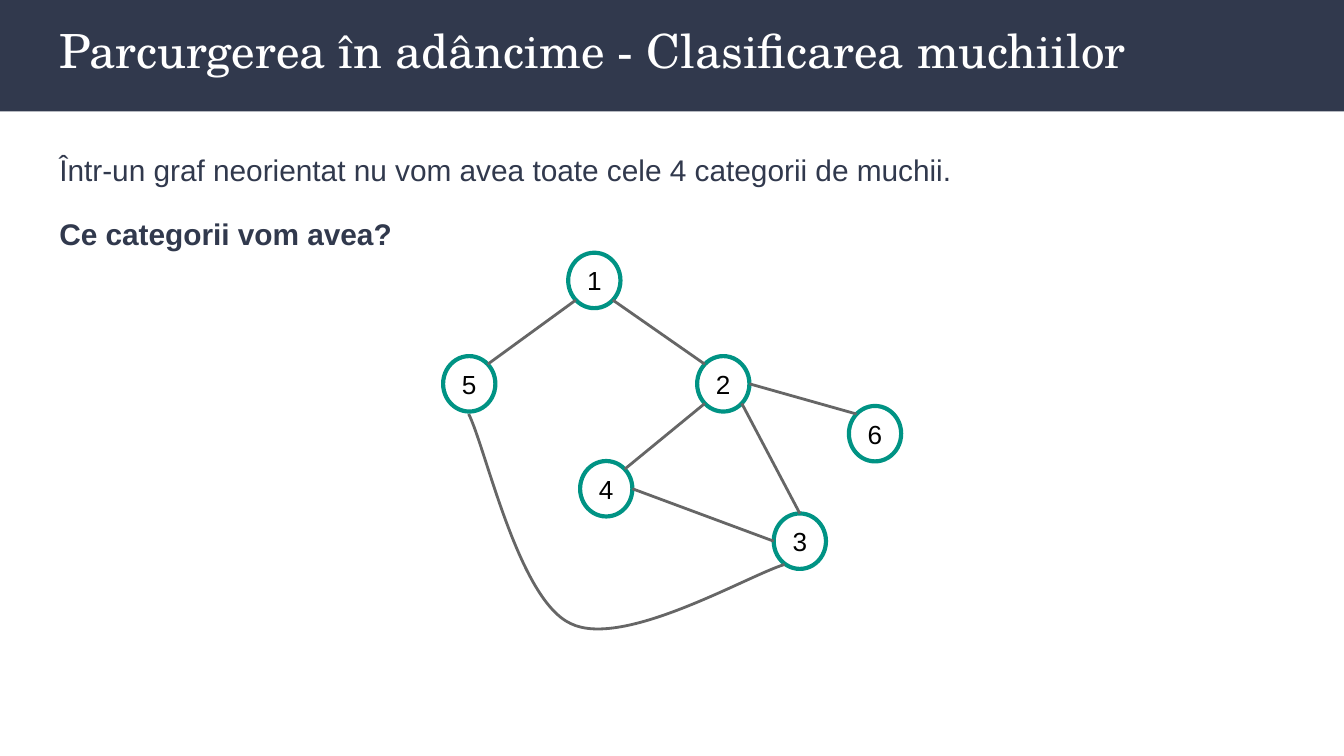
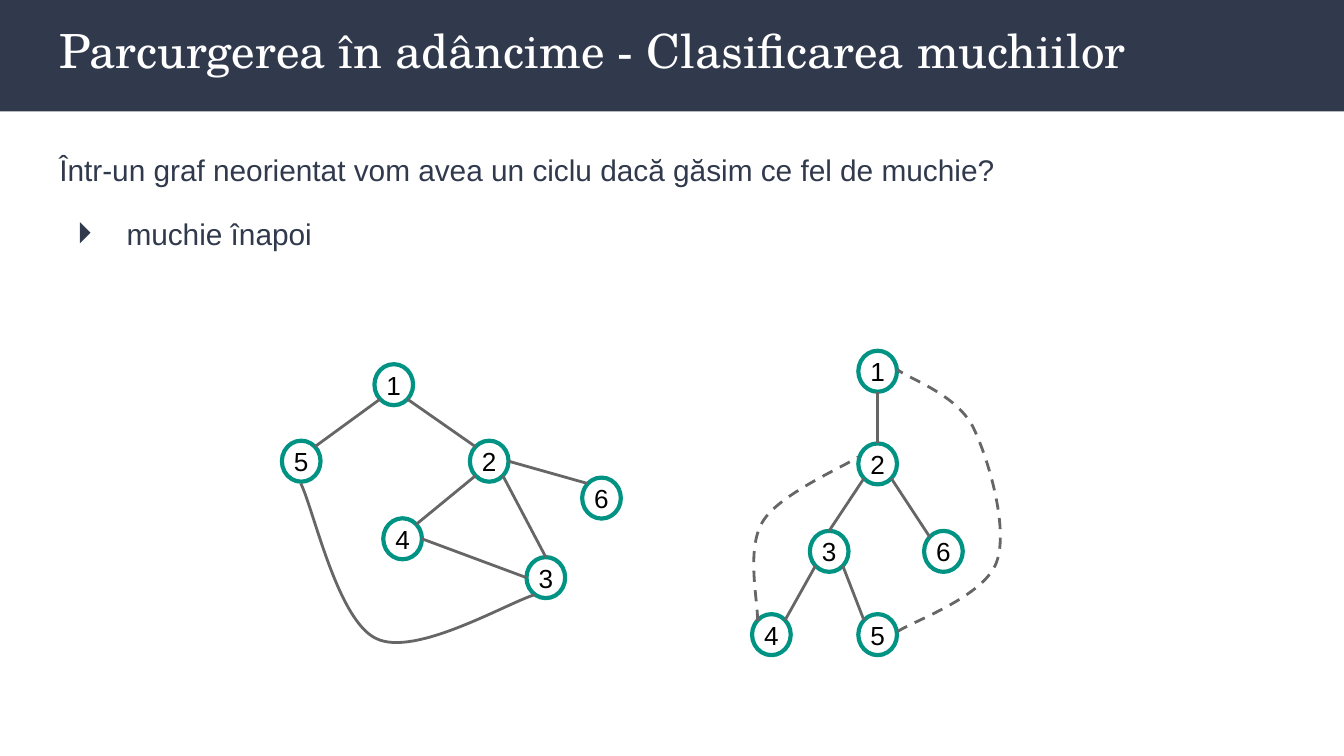
from dataclasses import dataclass

from lxml.etree import SubElement
from pptx import Presentation
from pptx.dml.color import RGBColor
from pptx.enum.dml import MSO_LINE
from pptx.enum.shapes import MSO_CONNECTOR, MSO_SHAPE
from pptx.enum.text import MSO_ANCHOR, PP_ALIGN
from pptx.oxml.ns import qn
from pptx.util import Pt

COLORS = {
    "navy": "31394D",
    "white": "FFFFFF",
    "teal": "009384",
    "gray": "666666",
    "black": "000000",
}
TITLE = "Parcurgerea în adâncime - Clasificarea muchiilor"
TITLE_FONT = "TeX Gyre Schola"
BODY_FONT = "Arial"
NODE_WIDTH, NODE_HEIGHT = 28, 29.7
SMALL = 0.74
NEAR, FAR = 0.146, 0.854
SITES = {
    "top": (0.5, 0),
    "bottom": (0.5, 1),
    "left": (0, 0.5),
    "right": (1, 0.5),
    "top left": (NEAR, NEAR),
    "top right": (FAR, NEAR),
    "bottom left": (NEAR, FAR),
    "bottom right": (FAR, FAR),
}


@dataclass
class Graph:
    """Nodes by label, straight edges between node sites, and Bézier edges."""

    nodes: dict
    edges: list
    curves: list
    dashed: bool = False


UNDIRECTED = Graph(
    nodes={
        1: (67, 0), 2: (136.1, 55.4), 3: (177.1, 139.7),
        4: (73.4, 111.6), 5: (0, 55.4), 6: (217.4, 82.1),
    },
    edges=[
        (1, "bottom right", 2, "top left"),
        (1, "bottom left", 5, "top right"),
        (2, "bottom left", 4, "top right"),
        (4, "right", 3, "left"),
        (2, "bottom right", 3, "top"),
        (2, "right", 6, "top left"),
    ],
    curves=[
        [(182.9, 167), (163.4, 172.8), (96.5, 212.4), (68.4, 198.7),
         (40.3, 185.8), (23, 105.1), (13.7, 86.4)],
    ],
)
SEARCH_TREE = Graph(
    nodes={
        1: (76.9, 0), 2: (76.9, 67.1), 3: (41.8, 130.4),
        4: (0, 190.7), 5: (76.9, 190.7), 6: (124.5, 130.4),
    },
    edges=[
        (1, "bottom", 2, "top"),
        (4, "top right", 3, "bottom left"),
        (2, "bottom left", 3, "top"),
        (2, "bottom right", 6, "top left"),
        (3, "bottom right", 5, "top left"),
    ],
    curves=[
        [(3.9, 195.6), (4.9, 183.9), (-4.9, 144), (7.8, 123.6),
         (19.5, 104.1), (65.2, 84.6), (76.9, 76.9)],
        [(105.1, 203.4), (116.8, 195.6), (168.3, 178), (177.1, 152.8),
         (185.8, 128.4), (171.2, 77.8), (159.6, 54.5),
         (146.9, 31.1), (113.8, 20.4), (105.1, 13.6)],
    ],
    dashed=True,
)


def color(name):
    """Return the named colour."""
    return RGBColor.from_string(COLORS[name])


def style_font(para, name, size, tint, bold=False):
    """Set the font of a whole paragraph."""
    font = para.font
    font.name, font.size, font.bold = name, Pt(size), bold
    font.color.rgb = color(tint)


def style_line(line, tint, width):
    """Set the colour and width of a line."""
    line.color.rgb = color(tint)
    line.width = Pt(width)


def set_margins(frame, margin):
    """Give a text frame the same margin on all sides."""
    frame.margin_left = frame.margin_right = Pt(margin)
    frame.margin_top = frame.margin_bottom = Pt(margin)


def add_text_box(page, left, top, width, height):
    """Add a wrapping text box and return its frame."""
    box = page.shapes.add_textbox(Pt(left), Pt(top), Pt(width), Pt(height))
    frame = box.text_frame
    frame.word_wrap = True
    set_margins(frame, 7.2)
    return frame


def add_bullet(para):
    """Give a paragraph a hanging triangle bullet."""
    properties = para._p.get_or_add_pPr()
    properties.set("marL", str(Pt(36)))
    properties.set("indent", str(Pt(-26.64)))
    tint = SubElement(properties, qn("a:buClr"))
    SubElement(tint, qn("a:srgbClr"), val=COLORS["navy"])
    SubElement(properties, qn("a:buFont"), typeface=BODY_FONT)
    SubElement(properties, qn("a:buChar"), char="⏵")


def add_page(deck, statement, follow_up, bullet=False):
    """Add a page with the title band, a statement and a second paragraph."""
    page = deck.slides.add_slide(deck.slide_layouts[6])
    band = page.shapes.add_shape(
        MSO_SHAPE.RECTANGLE, 0, 0, deck.slide_width, Pt(59.76))
    band.shadow.inherit = False
    band.fill.solid()
    band.fill.fore_color.rgb = color("navy")
    band.line.fill.background()

    title = add_text_box(page, 24.7, 4.3, 689, 49).paragraphs[0]
    title.text = TITLE
    style_font(title, TITLE_FONT, 25.2, "white")

    body = add_text_box(page, 24.7, 71.3, 671, 296)
    first, second = body.paragraphs[0], body.add_paragraph()
    first.text, second.text = statement, follow_up
    if bullet:
        add_bullet(second)
    second.space_before = Pt(12)
    for para in (first, second):
        para.line_spacing = 1.15
        style_font(para, BODY_FONT, 16, "navy", para is second and not bullet)
    return page


def add_node(group, label, left, top, scale):
    """Add a ringed graph node with its number."""
    node = group.shapes.add_shape(
        MSO_SHAPE.OVAL, left, top,
        Pt(NODE_WIDTH * scale), Pt(NODE_HEIGHT * scale))
    node.shadow.inherit = False
    node.fill.background()
    style_line(node.line, "teal", 2.25)
    frame = node.text_frame
    frame.vertical_anchor = MSO_ANCHOR.MIDDLE
    set_margins(frame, 1.44)
    para = frame.paragraphs[0]
    para.text = str(label)
    para.alignment = PP_ALIGN.CENTER
    style_font(para, BODY_FONT, 14, "black")


def add_edge(group, start, end):
    """Add a straight edge between two points."""
    edge = group.shapes.add_connector(MSO_CONNECTOR.STRAIGHT, *start, *end)
    style_line(edge.line, "gray", 1.5)
    SubElement(edge._element.spPr, qn("a:effectLst"))


def add_curve(group, points, dashed):
    """Add an edge of cubic Bézier segments through the given points."""
    builder = group.shapes.build_freeform(*points[0])
    builder.add_line_segments(points[1:], close=False)
    curve = builder.convert_to_shape()
    outline = curve._element.find(".//" + qn("a:path"))
    steps = outline.findall(qn("a:lnTo"))
    for start in range(0, len(steps), 3):
        segment = SubElement(outline, qn("a:cubicBezTo"))
        for step in steps[start:start + 3]:
            segment.append(step[0])
            outline.remove(step)
    curve.shadow.inherit = False
    curve.fill.background()
    style_line(curve.line, "gray", 1.5)
    if dashed:
        curve.line.dash_style = MSO_LINE.DASH


def add_graph(page, graph, left, top, scale=1):
    """Draw a graph as one group, scaled from its top left corner."""
    group = page.shapes.add_group_shape()

    def place(x, y):
        """Turn graph coordinates into a position on the page."""
        return Pt(left + x * scale), Pt(top + y * scale)

    def site(label, side):
        """Return the position of a site on a node's ring."""
        x, y = graph.nodes[label]
        across, down = SITES[side]
        return place(x + across * NODE_WIDTH, y + down * NODE_HEIGHT)

    for label, corner in graph.nodes.items():
        add_node(group, label, *place(*corner), scale)
    for start, start_side, end, end_side in graph.edges:
        add_edge(group, site(start, start_side), site(end, end_side))
    for points in graph.curves:
        add_curve(group, [place(*point) for point in points], graph.dashed)


def main():
    """Build and save the deck."""
    deck = Presentation()
    deck.slide_width, deck.slide_height = Pt(720), Pt(405)

    page = add_page(
        deck,
        "Într-un graf neorientat nu vom avea toate cele 4 categorii de muchii.",
        "Ce categorii vom avea?")
    add_graph(page, UNDIRECTED, 237.4, 135.4)

    page = add_page(
        deck,
        "Într-un graf neorientat vom avea un ciclu dacă găsim ce fel de muchie?",
        "muchie înapoi", bullet=True)
    add_graph(page, UNDIRECTED, 151, 195.1, SMALL)
    add_graph(page, SEARCH_TREE, 402.9, 187.9, SMALL)

    deck.save("out.pptx")


if __name__ == "__main__":
    main()
